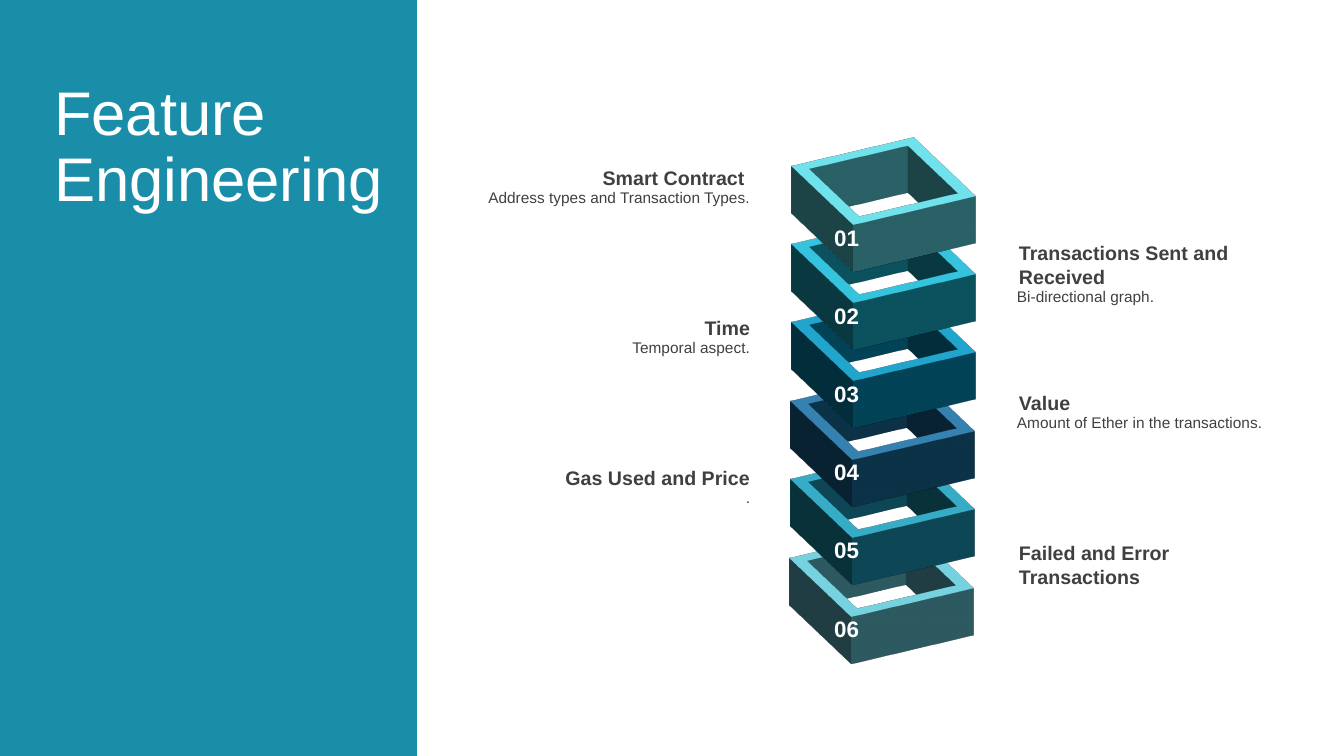
from lxml import etree
from pptx import Presentation
from pptx import util as u
from pptx.dml.color import RGBColor
from pptx.enum import shapes, text
from pptx.oxml import ns

EMU_PER_PX = 914400 / 100.8
FONT = "Arial"
PANEL, WHITE, INK = "1A8EA9", "FFFFFF", "404040"
TRAY_DEPTH = 53
TRAY_TILT = {"lat": 307.8, "lon": 320, "rev": 46.7}

# Tray colour, heading and description
FEATURES = [
    ("53C3CD", "Smart Contract ", "Address types and Transaction Types."),
    ("19A5BE", "Transactions Sent and Received", "Bi-directional graph."),
    ("0587AF", "Time", "Temporal aspect."),
    ("196491", "Value", "Amount of Ether in the transactions."),
    ("1A8EA9", "Gas Used and Price", "."),
    ("5AB4C1", "Failed and Error Transactions", None),
]


def px(n):
    return u.Emu(round(n * EMU_PER_PX))


def rgb(value):
    return RGBColor.from_string(value)


def add_block(s, preset, box, color):
    """Add a preset shape with a flat fill and no outline or shadow."""
    sp = s.shapes.add_shape(preset, *map(px, box))
    sp.shadow.inherit = False
    sp.fill.solid()
    sp.fill.fore_color.rgb = rgb(color)
    sp.line.fill.background()
    return sp


def add_xml(parent, tag, **attributes):
    return etree.SubElement(parent, ns.qn(tag), attributes)


def extrude(sp):
    """Tilt a shape so that its top shows, and give it depth."""
    properties = sp.element.spPr
    scene = add_xml(properties, "a:scene3d")
    camera = add_xml(scene, "a:camera", prst="orthographicFront")
    add_xml(camera, "a:rot", **{name: str(round(angle * 60000))
                                for name, angle in TRAY_TILT.items()})
    add_xml(scene, "a:lightRig", rig="threePt", dir="t")
    add_xml(properties, "a:sp3d", extrusionH=str(px(TRAY_DEPTH)))


def add_run(p, words, size, color, bold=False):
    r = p.add_run()
    r.text = words
    r.font.name = FONT
    r.font.size = u.Pt(size)
    r.font.bold = bold
    r.font.color.rgb = rgb(color)


def set_insets(tf, top=0, bottom=0):
    tf.margin_left = tf.margin_right = 0
    tf.margin_top, tf.margin_bottom = px(top), px(bottom)
    tf.word_wrap = True


def add_label(s, box, words, size, align, color=INK, bold=False):
    tf = s.shapes.add_textbox(*map(px, box)).text_frame
    set_insets(tf)
    tf.auto_size = text.MSO_AUTO_SIZE.SHAPE_TO_FIT_TEXT
    p = tf.paragraphs[0]
    p.alignment = align
    add_run(p, words, size, color, bold)


def add_tray(s, index, color):
    box = (815 - index * 2 // 5, 112 + index * 392 // 5, 137, 139)
    tray = add_block(s, shapes.MSO_SHAPE.FRAME, box, color)
    tray.adjustments[0] = 0.098
    extrude(tray)


def add_number(s, index):
    add_label(s, (795, 224 + index * 391 // 5, 103, 27), f"{index + 1:02}",
              16, text.PP_ALIGN.CENTER, WHITE, True)


def add_feature(s, index, heading, description):
    """Place a heading and description left or right of the stack in turn."""
    top = 166 + index * 75
    if index % 2 == 0:
        left, width, align = 462, 288, text.PP_ALIGN.RIGHT
    else:
        left, width, align = 1017, 269, text.PP_ALIGN.LEFT
    height = 48 if len(heading) > 20 else 24
    if description:
        add_label(s, (left, top + height - 2, width, 19), description, 11,
                  align)
    add_label(s, (left + 2, top, width - 2, height), heading, 14, align,
              bold=True)


def add_title(s):
    title = s.shapes.title
    title.left, title.top, title.width, title.height = map(
        px, (54, 57, 342, 167))
    tf = title.text_frame
    set_insets(tf, 28, 12)
    tf.auto_size = text.MSO_AUTO_SIZE.NONE
    tf.vertical_anchor = text.MSO_ANCHOR.MIDDLE
    p = tf.paragraphs[0]
    p.alignment = text.PP_ALIGN.LEFT
    p.line_spacing = 0.9
    add_run(p, "Feature Engineering", 44, WHITE)


def main():
    prs = Presentation()
    prs.slide_width, prs.slide_height = px(1344), px(756)
    s = prs.slides.add_slide(prs.slide_layouts[5])
    panel = add_block(s, shapes.MSO_SHAPE.RECTANGLE, (0, 0, 417, 756), PANEL)
    s.shapes.title.element.addprevious(panel.element)
    add_title(s)
    for i, (color, _, _) in reversed(list(enumerate(FEATURES))):
        add_tray(s, i, color)
    for i, (_, heading, description) in enumerate(FEATURES):
        add_number(s, i)
        add_feature(s, i, heading, description)
    prs.save("out.pptx")


if __name__ == "__main__":
    main()
